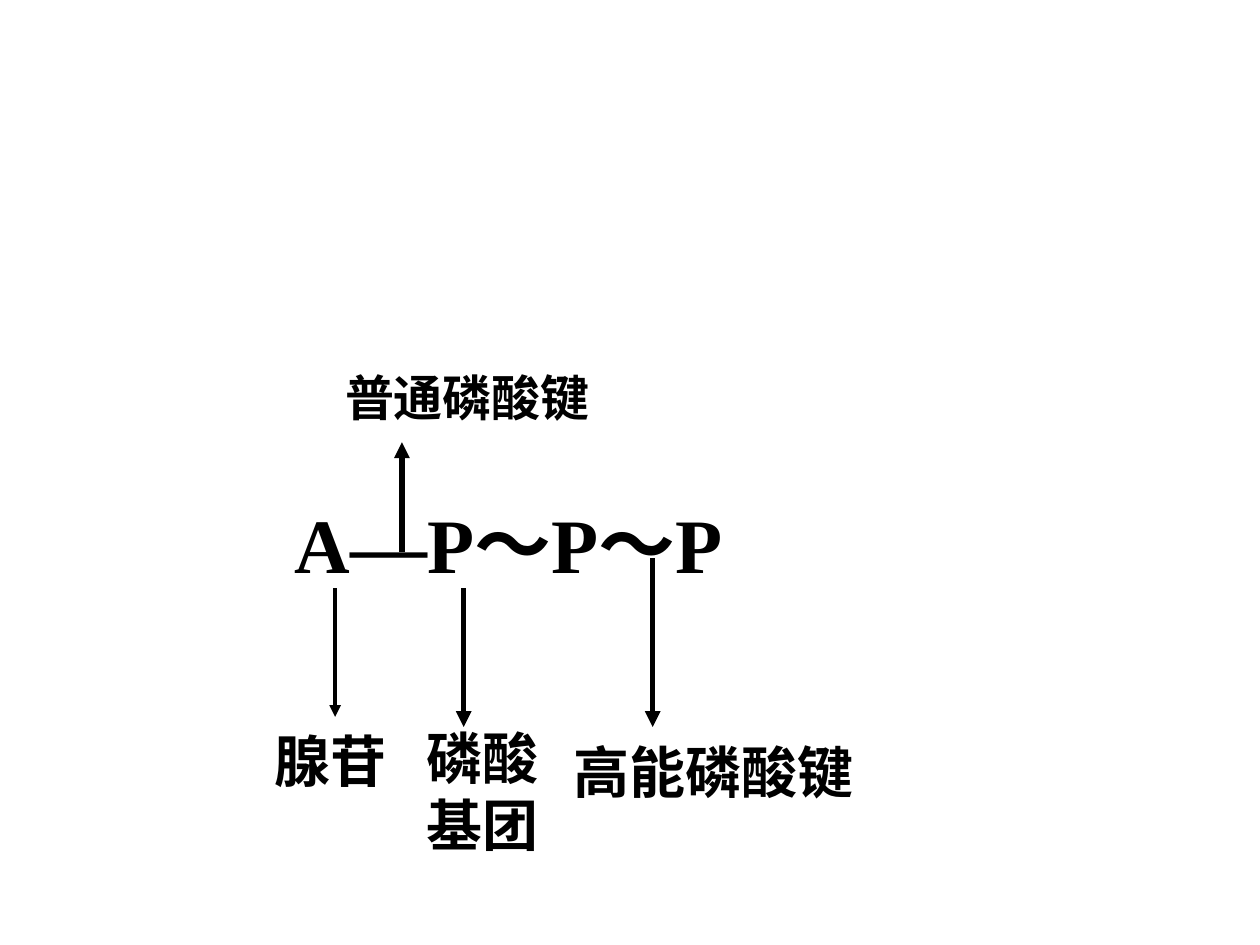
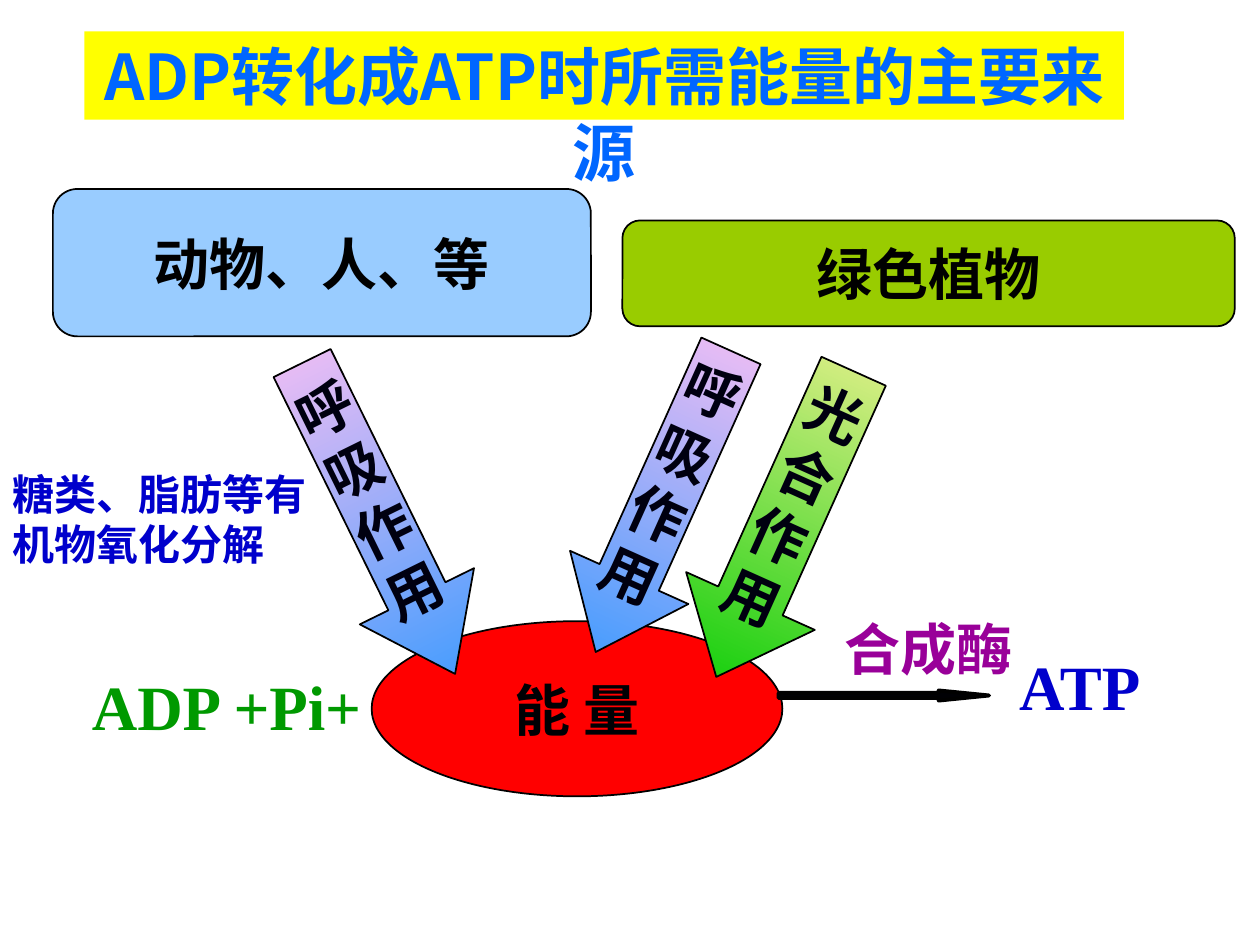
from dataclasses import dataclass

from lxml.etree import SubElement
from pptx import Presentation
from pptx.dml.color import RGBColor
from pptx.enum.shapes import MSO_CONNECTOR, MSO_SHAPE as Preset
from pptx.enum.text import MSO_ANCHOR as Anchor, PP_ALIGN as Align
from pptx.oxml.ns import qn
from pptx.slide import Slide
from pptx.util import Emu, Pt

PX = 9144
COLORS = {
    "black": "000000", "ink": "000004", "arrow text": "000010",
    "yellow": "FFFF00", "title": "0066FF", "animal": "99CCFF",
    "plant": "99CC00", "energy": "FF0000", "pink": "FCC0F3",
    "blue": "3399FF", "lime": "ECF191", "green": "00CC00",
    "adp": "009900", "atp": "0000CC", "enzyme": "990099",
}
SERIF = "Times New Roman"
SANS = "Noto Sans CJK SC"
TIGHT = (2, 0)
NORMAL = (10, 5)
RESPIRATION = ("pink", "blue")
PHOTOSYNTHESIS = ("lime", "green")

Box = tuple[int, int, int, int]


@dataclass(frozen=True)
class Label:
    """Free text on a slide."""
    text: str
    box: Box
    size: int
    font: str = SERIF
    color: str = "black"
    insets: tuple[int, int] = NORMAL
    wrap: bool = True


@dataclass(frozen=True)
class Pointer:
    """Vertical arrow from a part of the formula to its name."""
    x: int
    start: int
    end: int
    width: float = 3


@dataclass(frozen=True)
class Block:
    """Preset shape with one fill colour, or two for a gradient."""
    preset: Preset
    box: Box
    fill: tuple[str, ...]
    text: str = ""
    text_color: str = "black"
    size: int = 32
    border: float = 1
    adjustments: tuple[float, ...] = ()
    rotation: float = 0
    anchor: Anchor = Anchor.MIDDLE
    wrap: bool = False


FORMULA_LABELS = [
    Label("A—P～P～P", (232, 394, 478, 73), 44, insets=TIGHT),
    Label("高能磷酸键", (453, 585, 258, 53), 32, insets=TIGHT),
    Label("腺苷", (216, 577, 102, 53), 32, insets=TIGHT),
    Label("磷酸基团", (329, 569, 117, 117), 32),
    Label("普通磷酸键", (264, 287, 276, 57), 28, "Arial"),
]
FORMULA_POINTERS = [
    Pointer(266, 467, 569, 2.25),
    Pointer(368, 467, 577),
    Pointer(518, 443, 577),
    Pointer(319, 438, 351),
]
ENERGY_BLOCKS = [
    Block(Preset.RECTANGLE, (67, 25, 825, 70), ("yellow",),
          "ADP转化成ATP时所需能量的主要来源", "title", 36, 0,
          anchor=Anchor.TOP, wrap=True),
    Block(Preset.ROUNDED_RECTANGLE, (42, 150, 427, 117), ("animal",), "动物、人、等"),
    Block(Preset.ROUNDED_RECTANGLE, (494, 175, 486, 84), ("plant",), "绿色植物"),
    Block(Preset.OVAL, (295, 493, 326, 139), ("energy",), "能 量", "ink"),
    Block(Preset.DOWN_ARROW, (250, 274, 101, 275), RESPIRATION, "呼\n吸\n作\n用",
          "arrow text", adjustments=(0.5, 0.68), rotation=333.8),
    Block(Preset.DOWN_ARROW, (475, 267, 103, 262), RESPIRATION, "呼\n吸\n作\n用",
          "arrow text", adjustments=(0.5, 0.63), rotation=24.2),
    Block(Preset.DOWN_ARROW, (567, 283, 112, 266), PHOTOSYNTHESIS, "光\n合\n作\n用",
          "arrow text", adjustments=(0.5, 0.59), rotation=24.2),
    Block(Preset.RIGHT_ARROW, (618, 548, 167, 8), ("ink",), border=2.25,
          adjustments=(0.5, 5)),
]
ENERGY_LABELS = [
    Label("ADP +Pi+", (63, 525, 262, 70), 36, color="adp"),
    Label("ATP", (799, 509, 145, 70), 36, color="atp", wrap=False),
    Label(" 合成酶", (650, 483, 236, 63), 32, SANS, "enzyme"),
    Label("糖类、脂肪等有机物氧化分解", (0, 367, 258, 90), 24, "DejaVu Sans", "atp"),
]


def px(*lengths: int) -> list[Emu]:
    """Turn px lengths into EMU."""
    return [Emu(length * PX) for length in lengths]


def rgb(name: str) -> RGBColor:
    """Look up a named colour."""
    return RGBColor.from_string(COLORS[name])


def write(frame, text: str, font: str, size: int, color: str, align: Align) -> None:
    """Fill a text frame with bold text in one style."""
    frame.text = text
    for paragraph in frame.paragraphs:
        paragraph.alignment = align
        for run in paragraph.runs:
            run.font.name = font
            run.font.size = Pt(size)
            run.font.bold = True
            run.font.color.rgb = rgb(color)
            SubElement(run.font._element, qn("a:ea"), typeface=SANS)


def draw_label(slide: Slide, label: Label) -> None:
    """Place one label."""
    frame = slide.shapes.add_textbox(*px(*label.box)).text_frame
    frame.word_wrap = label.wrap
    side, edge = px(*label.insets)
    frame.margin_left = frame.margin_right = side
    frame.margin_top = frame.margin_bottom = edge
    write(frame, label.text, label.font, label.size, label.color, Align.LEFT)


def draw_pointer(slide: Slide, pointer: Pointer) -> None:
    """Draw one pointer with a triangular head at its end."""
    arrow = slide.shapes.add_connector(
        MSO_CONNECTOR.STRAIGHT,
        *px(pointer.x, pointer.start, pointer.x, pointer.end))
    arrow.line.color.rgb = rgb("black")
    arrow.line.width = Pt(pointer.width)
    SubElement(arrow.line._get_or_add_ln(), qn("a:tailEnd"), type="triangle")
    SubElement(arrow._element.spPr, qn("a:effectLst"))


def draw_block(slide: Slide, block: Block) -> None:
    """Draw one filled shape with its text."""
    shape = slide.shapes.add_shape(block.preset, *px(*block.box))
    shape.shadow.inherit = False
    shape.rotation = block.rotation
    for index, value in enumerate(block.adjustments):
        shape.adjustments[index] = value
    if len(block.fill) == 1:
        shape.fill.solid()
        shape.fill.fore_color.rgb = rgb(block.fill[0])
    else:
        shape.fill.gradient()
        shape.fill.gradient_angle = 270
        for position, (stop, color) in enumerate(
                zip(shape.fill.gradient_stops, block.fill)):
            stop.position = position
            stop.color.rgb = rgb(color)
    if block.border:
        shape.line.color.rgb = rgb("black")
        shape.line.width = Pt(block.border)
    else:
        shape.line.fill.background()
    if block.text:
        frame = shape.text_frame
        frame.word_wrap = block.wrap
        frame.vertical_anchor = block.anchor
        write(frame, block.text, SANS, block.size, block.text_color, Align.CENTER)


def main() -> None:
    """Build the ATP formula slide and the energy source slide."""
    deck = Presentation()
    deck.slide_width, deck.slide_height = px(1000, 750)
    blank = deck.slide_layouts[6]

    formula = deck.slides.add_slide(blank)
    for label in FORMULA_LABELS:
        draw_label(formula, label)
    for pointer in FORMULA_POINTERS:
        draw_pointer(formula, pointer)

    energy = deck.slides.add_slide(blank)
    for block in ENERGY_BLOCKS:
        draw_block(energy, block)
    for label in ENERGY_LABELS:
        draw_label(energy, label)

    deck.save("out.pptx")


if __name__ == "__main__":
    main()
